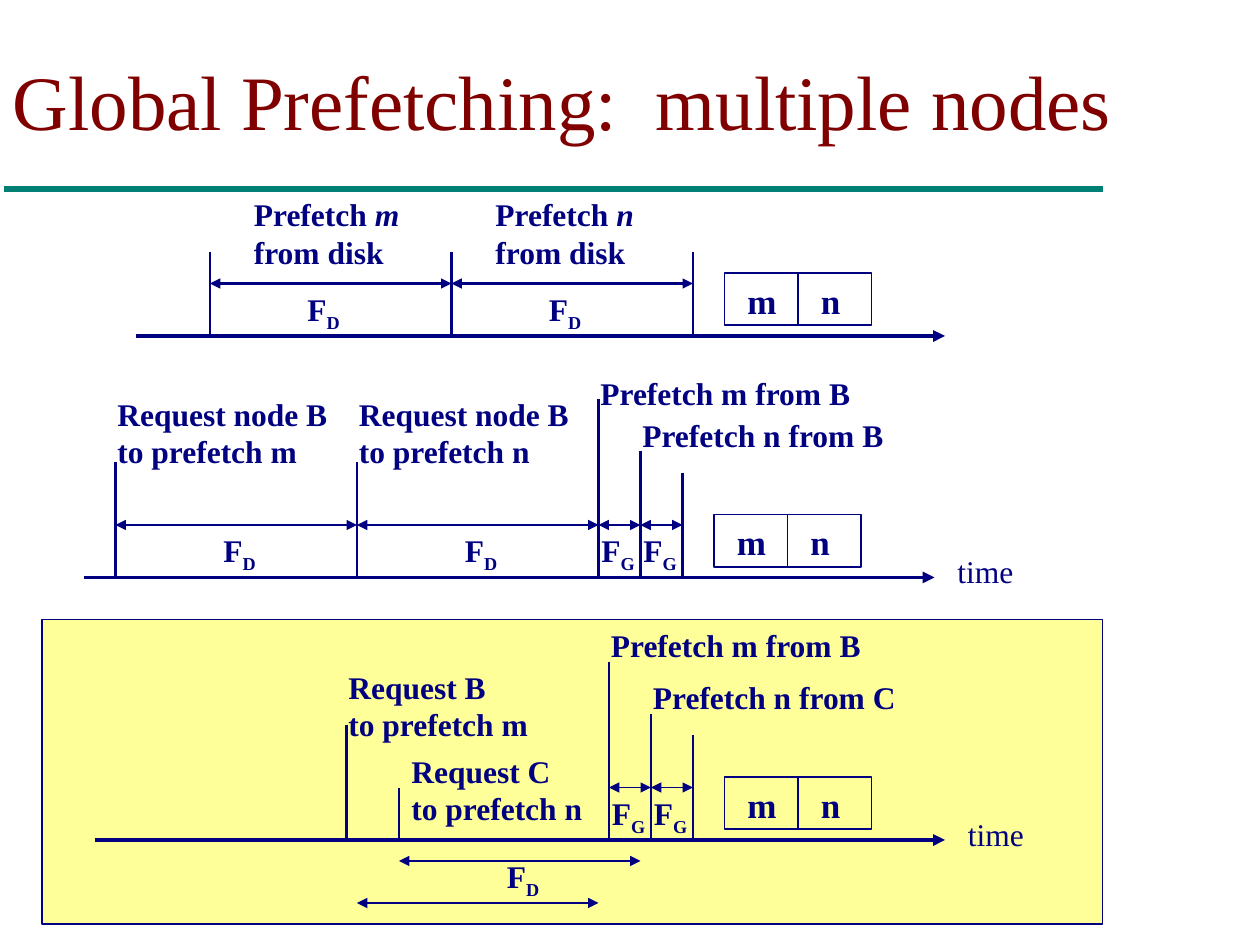
from lxml import etree
from pptx import Presentation, util as u
from pptx.dml.color import RGBColor
from pptx.enum import shapes, text
from pptx.oxml.ns import qn

COLORS = {"ink": "000080", "title": "800000", "rule": "008074", "panel": "FFFF99"}
FONT = "Times New Roman"
COLUMNS, ROWS = 120, 90
WIDTH, HEIGHT = u.Inches(10), u.Inches(7.5)


def x(columns):
    """Convert grid columns to a horizontal length."""
    return round(WIDTH * columns / COLUMNS)


def y(rows):
    """Convert grid rows to a vertical length."""
    return round(HEIGHT * rows / ROWS)


def color(name):
    """Look up a palette colour."""
    return RGBColor.from_string(COLORS[name])


def add_run(paragraph, wording, size=18, bold=True, tint="ink", style=None):
    """Append one run, optionally italic or subscript."""
    run = paragraph.add_run()
    run.text = wording
    font = run.font
    font.name, font.size, font.bold = FONT, u.Pt(size), bold
    font.italic = style == "italic"
    font.color.rgb = color(tint)
    if style == "sub":
        font._element.set("baseline", "-25000")


def add_label(slide, left, top, width, lines, wrap=False, space=0, **look):
    """Place lines of text, each line a list of (wording, style) runs."""
    height = 1.2 + 3.6 * len(lines)
    frame = slide.shapes.add_textbox(x(left), y(top), x(width), y(height)).text_frame
    frame.word_wrap = wrap
    frame.auto_size = text.MSO_AUTO_SIZE.SHAPE_TO_FIT_TEXT
    for index, line in enumerate(lines):
        paragraph = frame.add_paragraph() if index else frame.paragraphs[0]
        paragraph.space_before = u.Pt(space)
        for wording, style in line:
            add_run(paragraph, wording, style=style, **look)


def add_caption(slide, left, top, width, *lines):
    """Place a bold caption of plain lines."""
    add_label(slide, left, top, width, [[(line, None)] for line in lines])


def add_cost(slide, left, top, kind):
    """Place a fetch cost symbol with its subscript."""
    add_label(slide, left, top, 5.7, [[("F", None), (kind, "sub")]])


def add_line(slide, start, end, weight=1.5, heads=(), tint="ink"):
    """Draw a straight line with arrowheads at the named ends."""
    line = slide.shapes.add_connector(
        shapes.MSO_CONNECTOR.STRAIGHT, x(start[0]), y(start[1]), x(end[0]), y(end[1]))
    line.line.color.rgb = color(tint)
    line.line.width = u.Pt(weight)
    outline = line.line._get_or_add_ln()
    for head in heads:
        etree.SubElement(outline, qn(f"a:{head}"), type="triangle")
    etree.SubElement(line._element.spPr, qn("a:effectLst"))


def add_span(slide, left, right, row, weight=1.5):
    """Draw a double-headed duration arrow."""
    add_line(slide, (left, row), (right, row), weight, ("headEnd", "tailEnd"))


def add_box(slide, left, top, width, height, fill=None):
    """Draw an outlined rectangle."""
    box = slide.shapes.add_shape(
        shapes.MSO_SHAPE.RECTANGLE, x(left), y(top), x(width), y(height))
    box.shadow.inherit = False
    if fill:
        box.fill.solid()
        box.fill.fore_color.rgb = color(fill)
    else:
        box.fill.background()
    box.line.color.rgb = color("ink")
    box.line.width = u.Pt(0.99)


def add_buffer(slide, left, top):
    """Draw the two cached blocks side by side."""
    for index, block in enumerate("mn"):
        cell = left + 7 * index
        add_label(slide, cell + 1, top, 5, [[(block, None)]], wrap=True, space=12.5, size=20)
        add_box(slide, cell, top, 7, 5)


def add_timeline(slide, start, end, row, ticks, timed=True):
    """Draw a time axis and its ticks, given as (column, top row)."""
    add_line(slide, (start, row), (end, row), 2.24, ("tailEnd",))
    for column, top in ticks:
        add_line(slide, (column, top), (column, row))
    if timed:
        add_label(slide, end + 1, row - 3, 7.8, [[("time", None)]], bold=False)


def add_transfers(slide, first, row):
    """Draw the two short network transfers that follow each other."""
    for left in (first, first + 4):
        add_span(slide, left, left + 4, row, 0.99)
        add_cost(slide, left - 0.9, row, "G")


def add_title(slide):
    """Format the title and draw the rule below it."""
    title = slide.shapes.title
    title.left, title.top, title.width, title.height = 0, 0, x(109), y(14.5)
    frame = title.text_frame
    frame.vertical_anchor = text.MSO_ANCHOR.BOTTOM
    frame.word_wrap = True
    frame.auto_size = text.MSO_AUTO_SIZE.NONE
    frame.paragraphs[0].alignment = text.PP_ALIGN.LEFT
    add_run(frame.paragraphs[0], "Global Prefetching:  multiple nodes", 44, False, "title")
    add_line(slide, (0.4, 18), (105, 18), 4, tint="rule")


def add_disk_case(slide):
    """Draw both blocks being fetched from the local disk."""
    add_timeline(slide, 13, 90, 32, [(20, 24), (43, 24), (66, 24)], timed=False)
    for left, block in ((20, "m"), (43, "n")):
        add_span(slide, left, left + 23, 27)
        add_cost(slide, left + 8.1, 27, "D")
        add_label(slide, left + 3, 18, 16.5,
                  [[("Prefetch ", None), (block, "italic")], [("from disk", None)]])
    add_buffer(slide, 69, 26)


def add_one_helper_case(slide):
    """Draw node B fetching both blocks in turn."""
    add_timeline(slide, 8, 89, 55, [(11, 44), (34, 44), (57, 38), (61, 43), (65, 45)])
    for left, block in ((11, "m"), (34, "n")):
        add_span(slide, left, left + 23, 50)
        add_cost(slide, left + 9.1, 50, "D")
        add_caption(slide, left - 1, 37, 22.6, "Request node B", f"to prefetch {block}")
    add_transfers(slide, 57, 50)
    add_caption(slide, 56, 35, 26.5, "Prefetch m from B")
    add_caption(slide, 60, 39, 25.7, "Prefetch n from B")
    add_buffer(slide, 68, 49)


def add_two_helpers_case(slide):
    """Draw nodes B and C fetching at the same time."""
    add_box(slide, 4, 59, 101, 29, "panel")
    add_timeline(slide, 9, 90, 80, [(33, 69), (38, 75), (58, 63), (62, 68), (66, 70)])
    for left, row in ((38, 82), (34, 86)):
        add_span(slide, left, left + 23, row)
    add_cost(slide, 47.1, 81, "D")
    add_transfers(slide, 58, 75)
    add_caption(slide, 32, 63, 19.8, "Request B", "to prefetch m")
    add_caption(slide, 38, 71, 18.9, "Request C", "to prefetch n")
    add_caption(slide, 57, 59, 26.5, "Prefetch m from B")
    add_caption(slide, 61, 64, 25.8, "Prefetch n from C")
    add_buffer(slide, 69, 74)


def main():
    """Build the slide and save it."""
    deck = Presentation()
    deck.slide_width, deck.slide_height = WIDTH, HEIGHT
    slide = deck.slides.add_slide(deck.slide_layouts[5])
    add_title(slide)
    add_disk_case(slide)
    add_one_helper_case(slide)
    add_two_helpers_case(slide)
    deck.save("out.pptx")


main()
